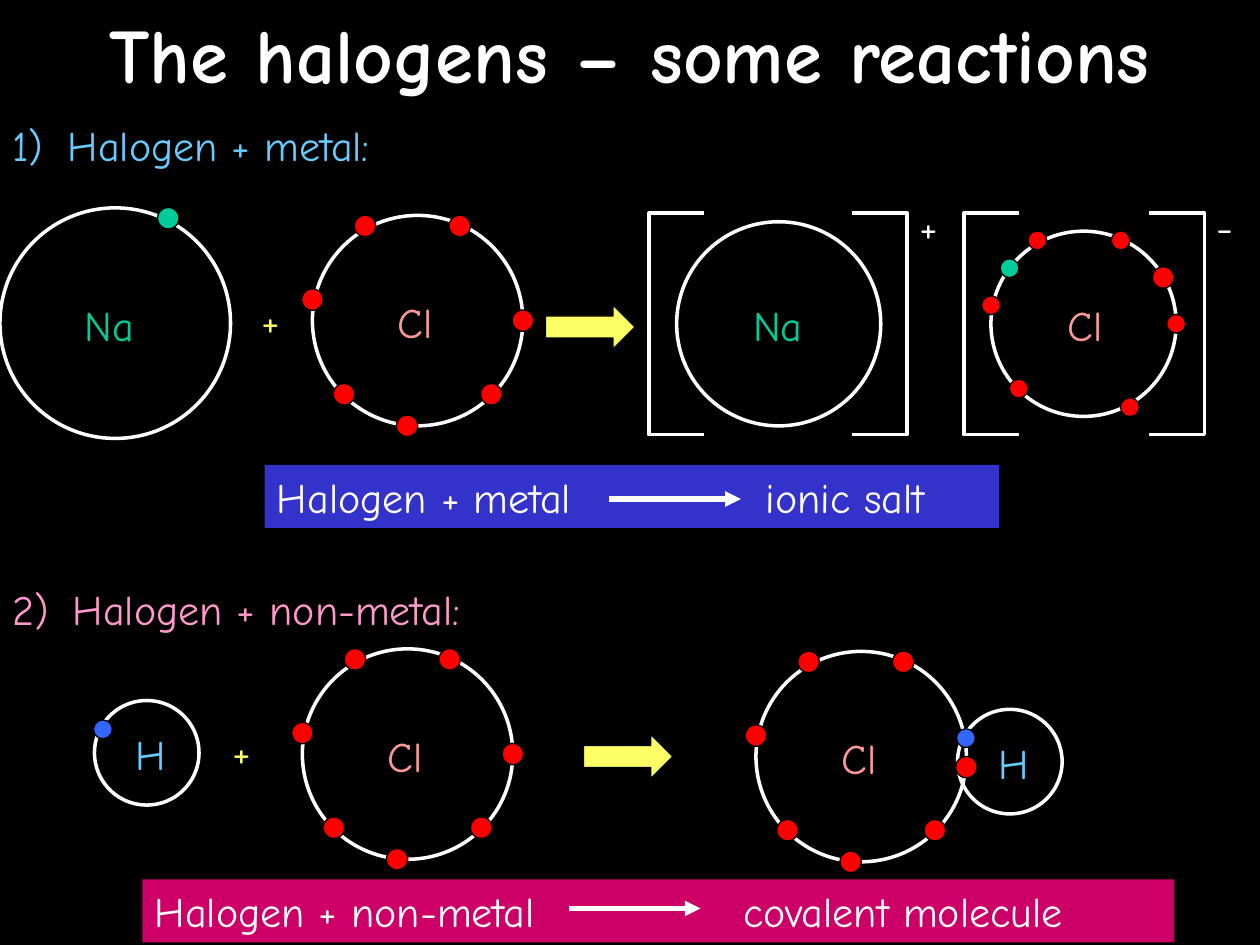
from dataclasses import dataclass

import pptx
import pptx.dml.color
import pptx.enum.shapes
import pptx.enum.text
import pptx.oxml.ns
import pptx.util
from lxml import etree
from pptx.util import Inches

SHAPE = pptx.enum.shapes.MSO_SHAPE
ALIGN = pptx.enum.text.PP_ALIGN


@dataclass(frozen=True)
class Theme:
    font: str = "Comic Neue"
    title_size: int = 44
    body_size: int = 24
    background: str = "000000"
    white: str = "FFFFFF"
    yellow: str = "FFFF66"
    green: str = "00CC99"
    red: str = "FF0000"
    blue: str = "3366FF"
    salmon: str = "FF9999"
    sky: str = "66CCFF"
    pink: str = "FF99CC"
    salt_banner: str = "3333CC"
    molecule_banner: str = "CC0066"


@dataclass(frozen=True)
class Element:
    """Label offset and width are fractions of the atom's radius."""
    symbol: str
    colour: str
    label_offset: float
    label_width: float
    align: ALIGN = ALIGN.LEFT


THEME = Theme()
SODIUM = Element("Na", THEME.green, -0.37, 0.82)
CHLORINE = Element("Cl", THEME.salmon, -0.305, 0.8)
HYDROGEN = Element("H", THEME.sky, -0.71, 1.57, ALIGN.CENTER)

# Electron positions as fractions of the radius, from the atom's centre
SHARED_SHELL = [(-0.5, -0.9), (0.4, -0.9), (-1, -0.2), (-0.7, 0.7)]
BONDED_SHELL = SHARED_SHELL + [(0.7, 0.7), (-0.1, 1)]
CHLORINE_SHELL = BONDED_SHELL + [(1, 0)]
ION_SHELL = SHARED_SHELL + [(0.5, 0.9), (1, 0)]
HYDROGEN_ELECTRON = (-0.84, -0.45)


def rgb(colour):
    return pptx.dml.color.RGBColor.from_string(colour)


def write(frame, text, colour, size=THEME.body_size, align=ALIGN.LEFT, bold=False, tab=None):
    frame.word_wrap = True
    para = frame.paragraphs[0]
    para.text = text
    para.alignment = align
    para.space_before = pptx.util.Pt(0)
    if tab:
        stops = etree.SubElement(para._p.get_or_add_pPr(), pptx.oxml.ns.qn("a:tabLst"))
        etree.SubElement(stops, pptx.oxml.ns.qn("a:tab"), pos=str(Inches(tab)), algn="l")
    para.font.name = THEME.font
    para.font.size = pptx.util.Pt(size)
    para.font.bold = bold
    para.font.color.rgb = rgb(colour)


def add_text(shapes, left, top, width, text, colour, align=ALIGN.LEFT, tab=None):
    box = shapes.add_textbox(Inches(left), Inches(top), Inches(width), Inches(0.5))
    write(box.text_frame, text, colour, align=align, tab=tab)


def add_filled(shapes, kind, left, top, width, height, colour, outlined=True):
    shape = shapes.add_shape(kind, Inches(left), Inches(top), Inches(width), Inches(height))
    shape.shadow.inherit = False
    shape.fill.solid()
    shape.fill.fore_color.rgb = rgb(colour)
    if outlined:
        shape.line.color.rgb = rgb(THEME.background)
        shape.line.width = pptx.util.Pt(0.75)
    else:
        shape.line.fill.background()
    return shape


def outline(shape):
    shape.shadow.inherit = False
    shape.fill.background()
    shape.line.color.rgb = rgb(THEME.white)
    shape.line.width = pptx.util.Pt(2)


def add_electrons(shapes, x, y, radius, positions, colour, size=0.17):
    for across, down in positions:
        add_filled(shapes, SHAPE.OVAL, x + across * radius - size / 2,
                   y + down * radius - size / 2, size, size, colour)


def add_atom(shapes, element, x, y, radius, electrons=(), colour=THEME.red, size=0.17):
    """Draw a shell centred on x, y with its electrons and symbol."""
    ring = shapes.add_shape(SHAPE.OVAL, Inches(x - radius), Inches(y - radius),
                            Inches(2 * radius), Inches(2 * radius))
    outline(ring)
    add_electrons(shapes, x, y, radius, electrons, colour, size)
    add_text(shapes, x + element.label_offset * radius, y - 0.24,
             element.label_width * radius, element.symbol, element.colour, element.align)


def add_brackets(shapes, left, right, charge):
    top, bottom, arm = 1.69, 3.45, 0.44
    for edge, tip in ((left, left + arm), (right, right - arm)):
        builder = shapes.build_freeform(Inches(tip), Inches(top))
        corners = ((edge, top), (edge, bottom), (tip, bottom))
        builder.add_line_segments([(Inches(x), Inches(y)) for x, y in corners], close=False)
        outline(builder.convert_to_shape())
    add_text(shapes, right, 1.54, arm, charge, THEME.white)


def add_banner(shapes, left, top, width, text, colour, tab, arrow_x, arrow_y, arrow_length):
    banner = add_filled(shapes, SHAPE.RECTANGLE, left, top, width, 0.5, colour, outlined=False)
    banner.text_frame.vertical_anchor = pptx.enum.text.MSO_ANCHOR.TOP
    write(banner.text_frame, text, THEME.white, tab=tab)
    arrow = shapes.add_connector(pptx.enum.shapes.MSO_CONNECTOR.STRAIGHT,
                                 Inches(arrow_x), Inches(arrow_y),
                                 Inches(arrow_x + arrow_length), Inches(arrow_y))
    arrow.line.color.rgb = rgb(THEME.white)
    arrow.line.width = pptx.util.Pt(3)
    etree.SubElement(arrow.line._get_or_add_ln(), pptx.oxml.ns.qn("a:tailEnd"), type="triangle")
    etree.SubElement(arrow._element.spPr, pptx.oxml.ns.qn("a:effectLst"))


def add_title(page, text):
    title = page.shapes.title
    title.left, title.top = Inches(0), Inches(0)
    title.width, title.height = Inches(10), Inches(0.83)
    title.text_frame.vertical_anchor = pptx.enum.text.MSO_ANCHOR.MIDDLE
    write(title.text_frame, text, THEME.white, THEME.title_size, ALIGN.CENTER, bold=True)


def add_metal_reaction(page):
    def group():
        return page.shapes.add_group_shape().shapes

    add_text(page.shapes, 0, 0.9, 5.83, "1)\tHalogen + metal:", THEME.sky, tab=0.44)
    sodium_ion = group()
    add_atom(sodium_ion, SODIUM, 6.18, 2.57, 0.81)
    add_brackets(sodium_ion, 5.15, 7.2, "+")
    chloride_ion = group()
    add_atom(chloride_ion, CHLORINE, 8.6, 2.57, 0.735, ION_SHELL, size=0.15)
    add_electrons(chloride_ion, 8.6, 2.57, 0.735, [(-0.8, -0.6)], THEME.green, size=0.15)
    add_electrons(chloride_ion, 8.6, 2.57, 0.735, [(0.86, -0.5)], THEME.red)
    add_brackets(chloride_ion, 7.65, 9.56, "-")
    add_atom(group(), SODIUM, 0.915, 2.565, 0.915, [(0.46, -0.91)], THEME.green)
    add_atom(group(), CHLORINE, 3.315, 2.545, 0.835, CHLORINE_SHELL)
    add_text(page.shapes, 1.98, 2.29, 0.48, "+", THEME.yellow)
    add_filled(page.shapes, SHAPE.RIGHT_ARROW, 4.33, 2.42, 0.71, 0.35, THEME.yellow)
    add_banner(group(), 2.1, 3.69, 5.83, "Halogen + metal\tionic salt",
               THEME.salt_banner, 3.88, 4.83, 3.96, 1.05)


def add_non_metal_reaction(page):
    def group():
        return page.shapes.add_group_shape().shapes

    add_text(page.shapes, 0, 4.58, 8.4, "2)\tHalogen + non-metal:", THEME.pink, tab=0.48)
    add_atom(group(), HYDROGEN, 1.165, 5.975, 0.415, [HYDROGEN_ELECTRON], THEME.blue, 0.15)
    add_atom(group(), CHLORINE, 3.235, 5.985, 0.835, CHLORINE_SHELL)
    add_filled(page.shapes, SHAPE.RIGHT_ARROW, 4.63, 5.83, 0.71, 0.35, THEME.yellow)
    add_text(page.shapes, 1.75, 5.71, 0.48, "+", THEME.yellow)
    molecule = group()
    add_atom(molecule, CHLORINE, 6.835, 6.005, 0.835, BONDED_SHELL)
    add_atom(molecule, HYDROGEN, 8.015, 6.045, 0.415, [HYDROGEN_ELECTRON], THEME.blue, 0.15)
    add_electrons(molecule, 6.835, 6.005, 0.835, [(1, 0.1)], THEME.red)
    add_banner(group(), 1.13, 6.98, 8.19, "Halogen + non-metal\tcovalent molecule",
               THEME.molecule_banner, 4.67, 4.52, 7.21, 1.04)


def main():
    deck = pptx.Presentation()
    deck.slide_width, deck.slide_height = Inches(10), Inches(7.5)
    page = deck.slides.add_slide(deck.slide_layouts.get_by_name("Title Only"))
    page.background.fill.solid()
    page.background.fill.fore_color.rgb = rgb(THEME.background)
    add_title(page, "The halogens – some reactions")
    add_metal_reaction(page)
    add_non_metal_reaction(page)
    deck.save("out.pptx")


if __name__ == "__main__":
    main()
